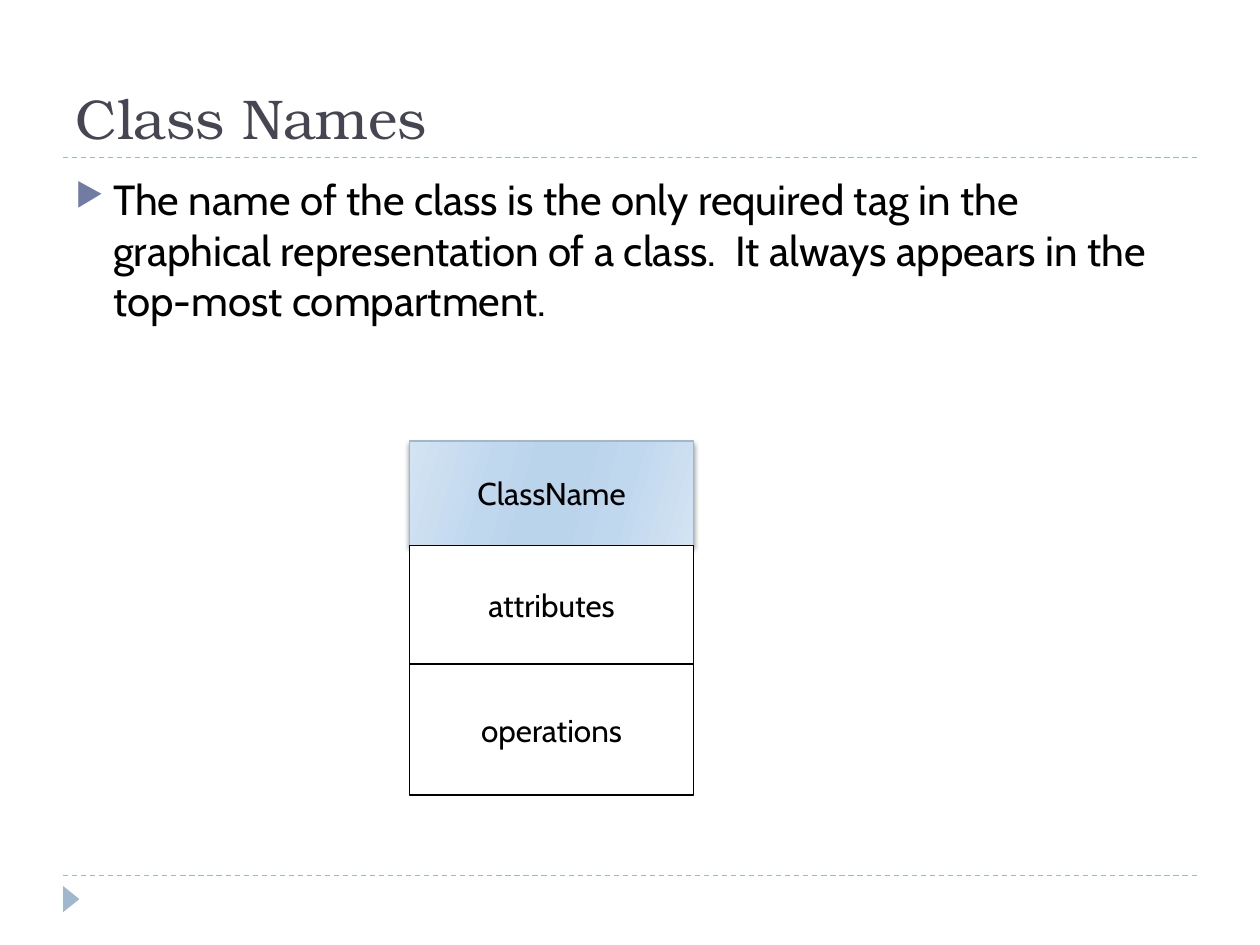
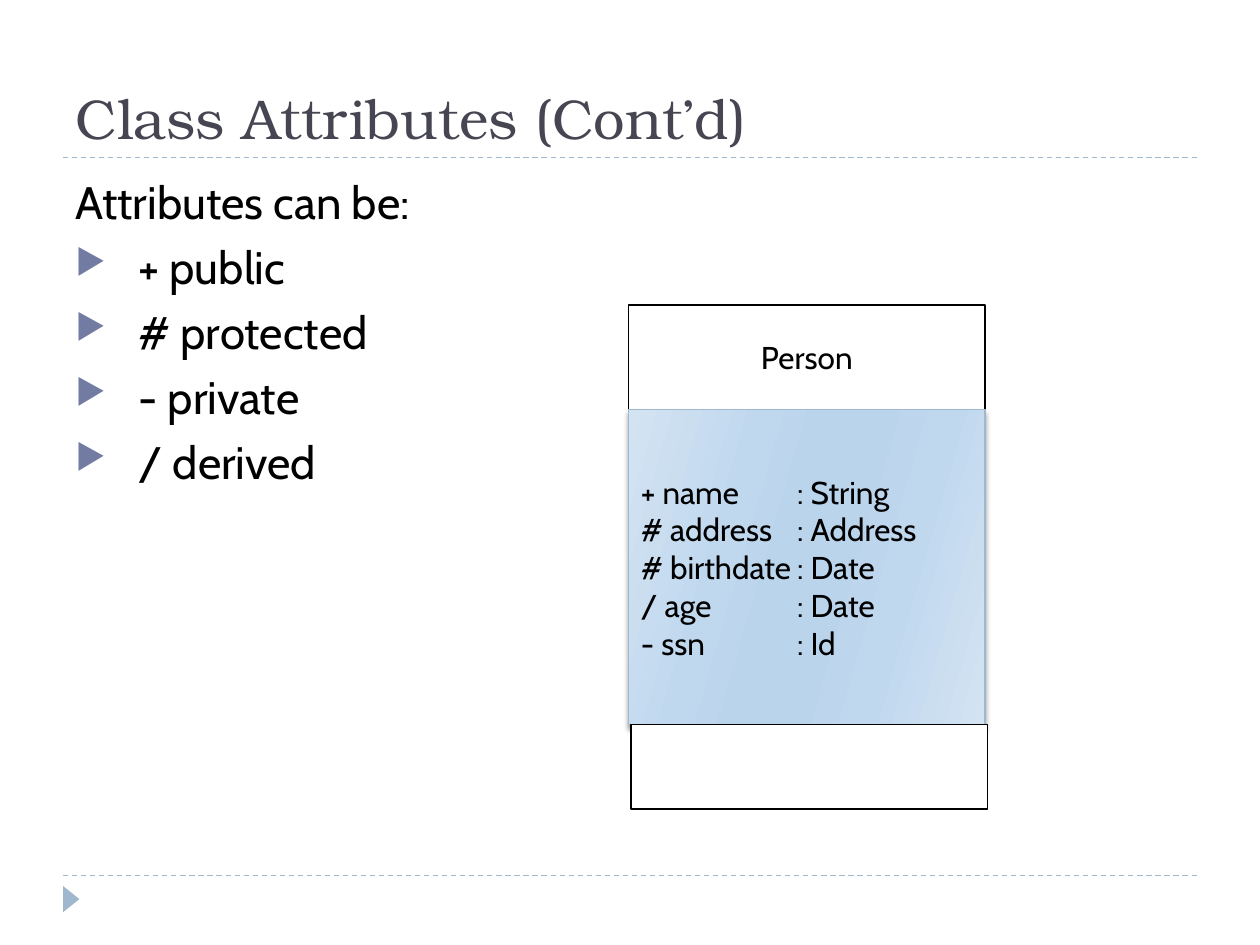
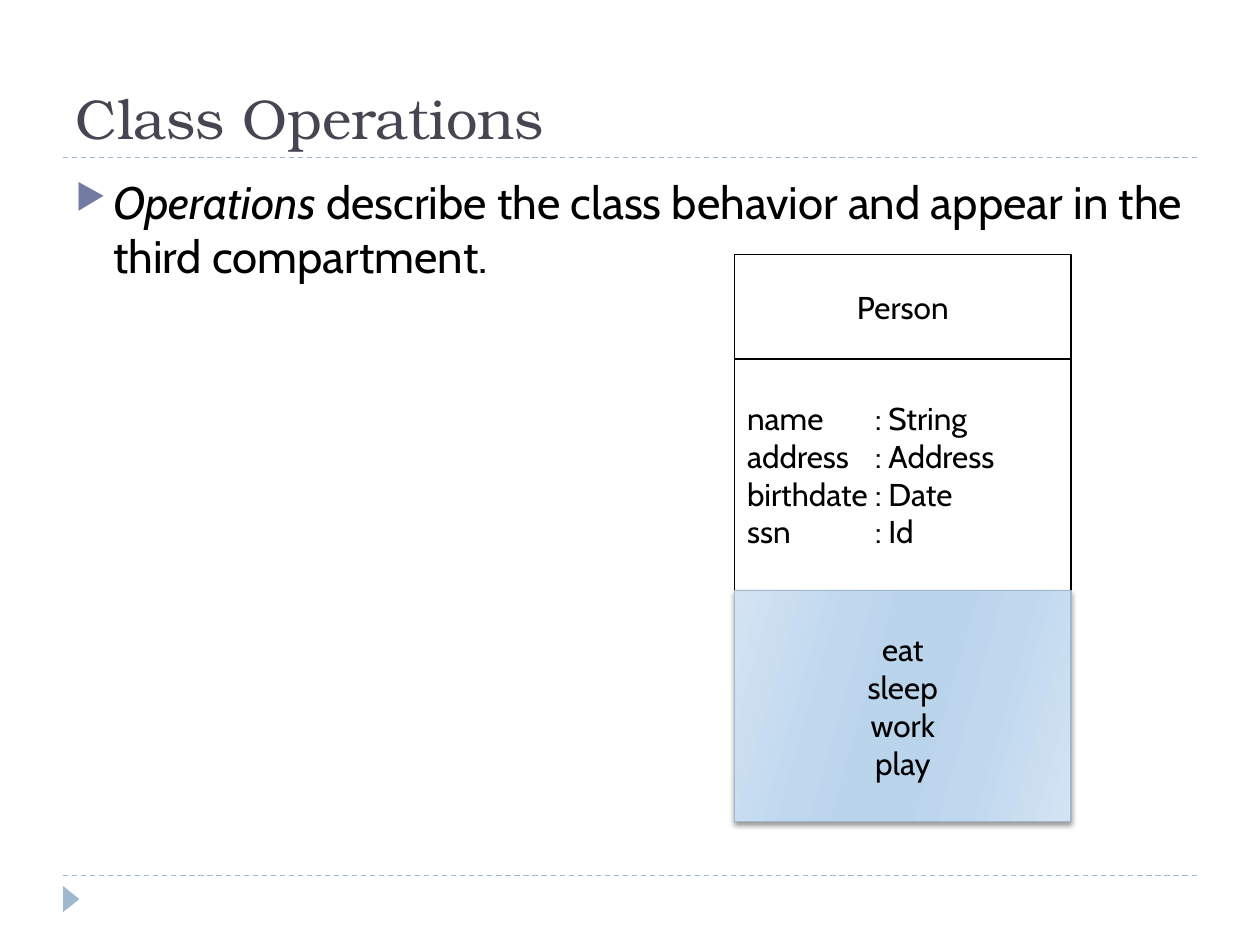
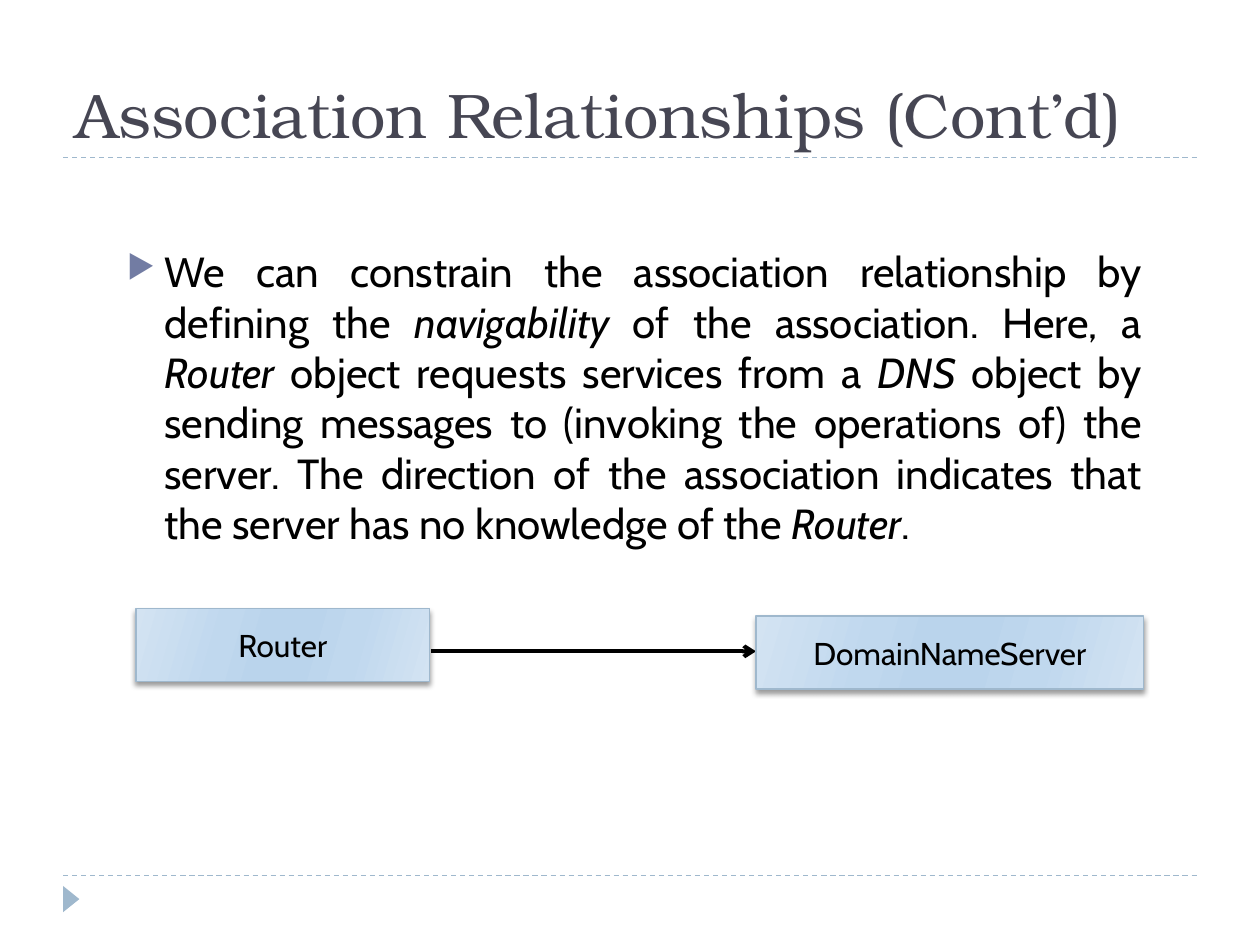
"""Build four slides on UML class diagrams."""
from dataclasses import dataclass

from lxml.etree import SubElement as Sub
from pptx import Presentation
from pptx.dml.color import RGBColor as Rgb
from pptx.enum.dml import MSO_LINE as Dash
from pptx.enum.shapes import MSO_CONNECTOR as Link, MSO_SHAPE as Kind
from pptx.enum.text import MSO_ANCHOR as Anchor, MSO_AUTO_SIZE as Fit, PP_ALIGN as Align
from pptx.oxml.ns import qn
from pptx.util import Cm, Pt

HUES = {
    "title": "464653",
    "text": "000000",
    "bullet": "727CA3",
    "rule": "9FB8CD",
    "paper": "FFFFFF",
    "pale": "D3E3F2",
    "soft": "C0D8EE",
    "deep": "BAD4EC",
}
STOPS = [(0, "pale"), (30, "soft"), (45, "deep"), (55, "deep"), (73, "soft"), (100, "pale")]
SERIF, SANS = "TeX Gyre Bonum", "Cabin"
LEFT, WIDE = 1.27, 22.86
HANG = 0.76


@dataclass
class Box:
    """A rectangle on the slide, in centimetres."""
    left: float
    top: float
    width: float
    height: float

    def size(self) -> tuple:
        """Return the four lengths for python-pptx."""
        return Cm(self.left), Cm(self.top), Cm(self.width), Cm(self.height)


@dataclass
class Cell:
    """One compartment of a class; a tab stop makes it left-aligned."""
    lines: list[str]
    height: float
    lit: bool = False
    tab: float = 0
    shift: float = 0


@dataclass
class Stack:
    """A class drawn as compartments from the top down."""
    left: float
    top: float
    width: float
    cells: list[Cell]


@dataclass
class Body:
    """The bulleted text of a slide; asterisks enclose italics."""
    box: Box
    size: int
    items: list[str]
    lead: str = ""
    align: Align = Align.LEFT


@dataclass
class Page:
    """Everything that one slide shows."""
    title: str
    body: Body
    stacks: list[Stack]
    size: int = 32
    arrow: tuple = ()


PAGES = [
    Page(
        "Class Names",
        Body(Box(LEFT, 3.38, WIDE, 3.33), 24, [
            "The name of the class is the only required tag in the graphical "
            "representation of a class.  It always appears in the top-most compartment."]),
        [Stack(8.26, 8.89, 5.72, [
            Cell(["ClassName"], 2.11, lit=True),
            Cell(["attributes"], 2.39),
            Cell(["operations"], 2.64)])],
    ),
    Page(
        "Class Attributes (Cont’d)",
        Body(Box(LEFT, 3.38, WIDE, 13.72), 26,
             ["\t+ public", "\t# protected", "\t- private", "\t/ derived"],
             lead="Attributes can be:"),
        [Stack(12.67, 6.15, 7.19, [
            Cell(["Person"], 2.11),
            Cell(["+ name\t: String", "# address\t: Address", "# birthdate\t: Date",
                  "/ age\t: Date", "- ssn\t: Id"], 6.35, lit=True, tab=3.15),
            Cell([], 1.7, shift=0.05)])],
    ),
    Page(
        "Class Operations",
        Body(Box(LEFT, 3.38, WIDE, 13.72), 26, [
            "*Operations *describe the class behavior and appear in the third compartment."]),
        [Stack(14.81, 5.13, 6.78, [
            Cell(["Person"], 2.11),
            Cell(["name\t: String", "address\t: Address", "birthdate\t: Date",
                  "ssn\t: Id"], 4.66, tab=2.58),
            Cell(["eat", "sleep", "work", "play"], 4.66, lit=True)])],
    ),
    Page(
        "Association Relationships (Cont’d)",
        Body(Box(2.31, 4.83, 20.96, 11.18), 24, [
            "We can constrain the association relationship by defining the *navigability* "
            "of the association. Here, a *Router* object requests services from a *DNS* "
            "object by sending messages to (invoking the operations of) the server. "
            "The direction of the association indicates that the server has no knowledge "
            "of the *Router*."], align=Align.JUSTIFY),
        [Stack(2.74, 12.27, 5.92, [Cell(["Router"], 1.47, lit=True)]),
         Stack(15.24, 12.42, 7.82, [Cell(["DomainNameServer"], 1.47, lit=True)])],
        size=36,
        arrow=(8.69, 15.24, 13.13),
    ),
]


def hue(name: str) -> Rgb:
    """Look up a colour."""
    return Rgb.from_string(HUES[name])


def style(para, size: int, face: str = SANS, name: str = "text") -> None:
    """Set the font of a paragraph."""
    font = para.font
    font.size, font.name = Pt(size), face
    font.color.rgb = hue(name)


def write(para, text: str) -> None:
    """Add text whose starred stretches are italic."""
    for i, bit in enumerate(text.split("*")):
        if bit:
            run = para.add_run()
            run.text = bit
            if i % 2:
                run.font.italic = True


def fill(frame, texts: list[str]):
    """Yield one written paragraph for each text."""
    for i, text in enumerate(texts):
        para = frame.add_paragraph() if i else frame.paragraphs[0]
        write(para, text)
        yield para


def mark(props) -> None:
    """Give a paragraph the triangular bullet."""
    Sub(Sub(props, qn("a:buClr")), qn("a:srgbClr"), val=HUES["bullet"])
    Sub(props, qn("a:buSzPct"), val="76000")
    Sub(props, qn("a:buChar"), char="▶")


def rule(slide, start: float, end: float, y: float, name: str, weight: float):
    """Draw a level line without a shadow."""
    link = slide.shapes.add_connector(Link.STRAIGHT, Cm(start), Cm(y), Cm(end), Cm(y))
    link.line.color.rgb = hue(name)
    link.line.width = Pt(weight)
    Sub(link._element.spPr, qn("a:effectLst"))
    return link.line


def trim(slide) -> None:
    """Draw the dashed rules and the corner triangle."""
    for y in (17.65, 3.18):
        rule(slide, LEFT, LEFT + WIDE, y, "rule", 0.75).dash_style = Dash.DASH
    wedge = slide.shapes.add_shape(Kind.ISOSCELES_TRIANGLE, *Box(1.17, 17.96, 0.53, 0.33).size())
    wedge.rotation = 90
    wedge.shadow.inherit = False
    wedge.fill.solid()
    wedge.fill.fore_color.rgb = hue("rule")
    wedge.line.fill.background()


def head(slide, page: Page) -> None:
    """Place and format the title."""
    title = slide.shapes.title
    title.left, title.top, title.width, title.height = Box(LEFT, 0.43, WIDE, 2.74).size()
    frame = title.text_frame
    frame.text = page.title
    frame.auto_size, frame.vertical_anchor = Fit.NONE, Anchor.BOTTOM
    para = frame.paragraphs[0]
    para.alignment = Align.LEFT
    style(para, page.size, SERIF, "title")


def prose(slide, body: Body) -> None:
    """Draw the body text with its bullets."""
    frame = slide.shapes.add_textbox(*body.box.size()).text_frame
    frame.word_wrap, frame.auto_size = True, Fit.NONE
    texts = [body.lead] * bool(body.lead) + body.items
    for para in fill(frame, texts):
        para.alignment, para.space_before = body.align, Pt(6)
        props = para._p.get_or_add_pPr()
        props.set("marL", str(Cm(HANG)))
        props.set("indent", str(-Cm(HANG)))
        if para.text != body.lead:
            mark(props)
        style(para, body.size)


def light(shape) -> None:
    """Give a shape the blue gradient and a soft shadow."""
    shape.fill.gradient()
    shape.fill.gradient_angle = 344
    props = shape._element.spPr
    stops = props.find(qn("a:gradFill")).find(qn("a:gsLst"))
    stops.clear()
    for place, name in STOPS:
        stop = Sub(stops, qn("a:gs"), pos=str(place * 1000))
        Sub(stop, qn("a:srgbClr"), val=HUES[name])
    shade = Sub(props.find(qn("a:effectLst")), qn("a:outerShdw"), blurRad=str(Pt(3)),
                dist=str(Pt(2)), dir="5400000", rotWithShape="0")
    Sub(Sub(shade, qn("a:srgbClr"), val=HUES["text"]), qn("a:alpha"), val="40000")


def draw(slide, box: Box, cell: Cell) -> None:
    """Draw one compartment."""
    shape = slide.shapes.add_shape(Kind.RECTANGLE, *box.size())
    shape.shadow.inherit = False
    shape.line.color.rgb = hue("rule" if cell.lit else "text")
    shape.line.width = Pt(0.75)
    if cell.lit:
        light(shape)
    else:
        shape.fill.solid()
        shape.fill.fore_color.rgb = hue("paper")
    frame = shape.text_frame
    frame.word_wrap, frame.vertical_anchor = True, Anchor.MIDDLE
    for para in fill(frame, cell.lines):
        para.alignment = Align.LEFT if cell.tab else Align.CENTER
        if cell.tab:
            tabs = Sub(para._p.get_or_add_pPr(), qn("a:tabLst"))
            Sub(tabs, qn("a:tab"), pos=str(Cm(cell.tab)), algn="l")
        style(para, 18)


def pile(slide, stack: Stack) -> None:
    """Draw the compartments of a class."""
    top = stack.top
    for cell in stack.cells:
        draw(slide, Box(stack.left + cell.shift, top, stack.width, cell.height), cell)
        top += cell.height


def main() -> None:
    """Build and save the slides."""
    deck = Presentation()
    deck.slide_width, deck.slide_height = Cm(25.4), Cm(19.05)
    for page in PAGES:
        slide = deck.slides.add_slide(deck.slide_layouts[5])
        trim(slide)
        head(slide, page)
        prose(slide, page.body)
        if page.arrow:
            line = rule(slide, *page.arrow, "text", 2.25)
            Sub(line._get_or_add_ln(), qn("a:tailEnd"), type="arrow")
        for stack in page.stacks:
            pile(slide, stack)
    deck.save("out.pptx")


if __name__ == "__main__":
    main()
